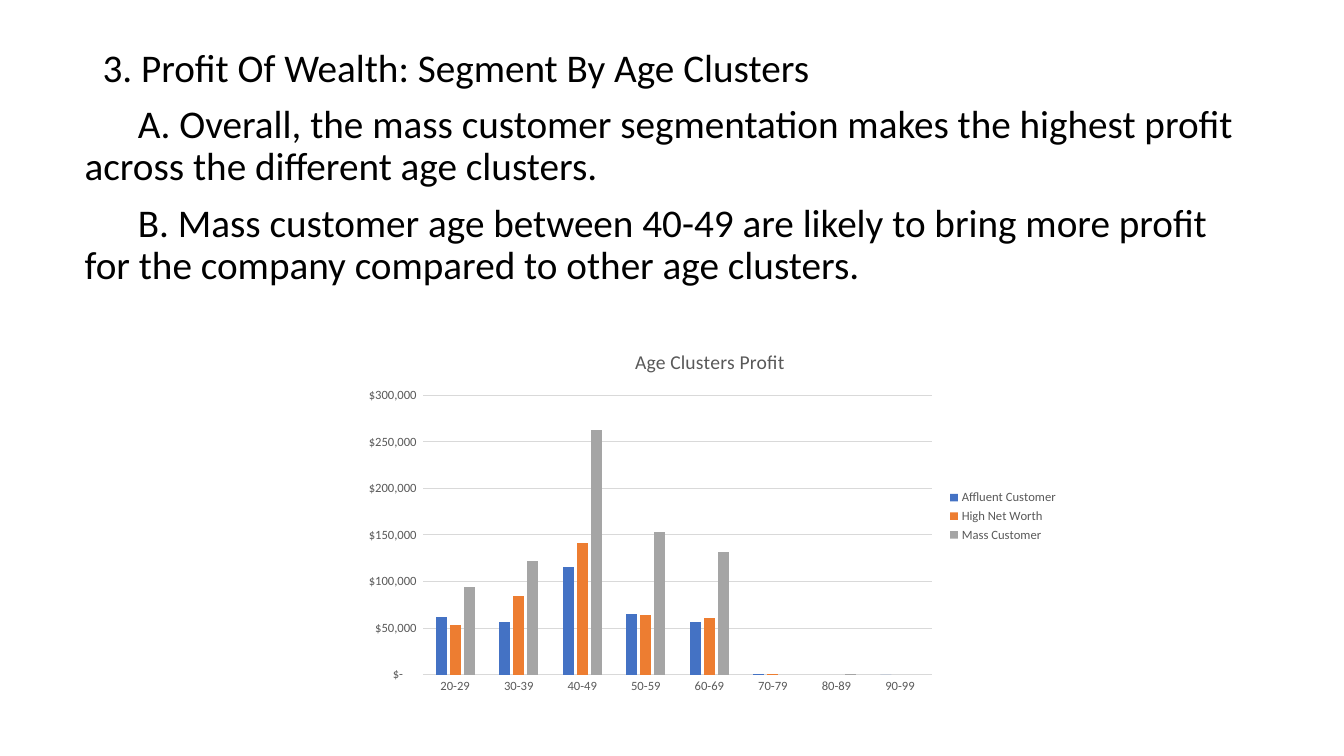
from pptx import Presentation
from pptx.chart.data import CategoryChartData
from pptx.dml.color import RGBColor
from pptx.enum.chart import XL_CHART_TYPE as ChartType, XL_LEGEND_POSITION as LegendPosition
from pptx.enum.chart import XL_TICK_MARK as TickMark
from pptx.enum.text import MSO_ANCHOR as Anchor, MSO_AUTO_SIZE as AutoSize
from pptx.oxml.xmlchemy import OxmlElement
from pptx.util import Cm, Pt

FONT = "Calibri"
BLACK = RGBColor(0x00, 0x00, 0x00)
GREY = RGBColor(0x59, 0x59, 0x59)
GRID = RGBColor(0xD9, 0xD9, 0xD9)
BLUE = RGBColor(0x44, 0x72, 0xC4)
ORANGE = RGBColor(0xED, 0x7D, 0x31)
SILVER = RGBColor(0xA5, 0xA5, 0xA5)

FINDINGS = [
    ("3. Profit Of Wealth: Segment By Age Clusters", Cm(0.45)),
    ("A. Overall, the mass customer segmentation makes the highest profit "
     "across the different age clusters.", Cm(1.34)),
    ("B. Mass customer age between 40-49 are likely to bring more profit "
     "for the company compared to other age clusters.", Cm(1.34)),
]
AGE_CLUSTERS = [f"{age}-{age + 9}" for age in range(20, 100, 10)]
SEGMENTS = [
    ("Affluent Customer", BLUE, [62000, 57000, 116000, 65000, 57000, 1000, None, 0]),
    ("High Net Worth", ORANGE, [53000, 84000, 141000, 64000, 61000, 1000, None, None]),
    ("Mass Customer", SILVER, [94000, 122000, 263000, 153000, 132000, None, 1000, None]),
]
DOLLARS = '_("$"* #,##0_);_("$"* \\(#,##0\\);_("$"* "-"??_);_(@_)'


def style_font(font, size, color):
    """Give a font its face, size and colour."""
    font.name, font.size, font.bold = FONT, Pt(size), False
    font.color.rgb = color


def write(paragraph, text, size=28, color=BLACK, indent=None):
    """Write one formatted run, with an unbulleted first-line indent if given."""
    run = paragraph.add_run()
    run.text = text
    style_font(run.font, size, color)
    if indent is not None:
        paragraph.line_spacing = 0.9
        paragraph.space_before = Pt(10)
        properties = paragraph._p.get_or_add_pPr()
        properties.set("marL", "0")
        properties.set("indent", str(indent))
        properties.append(OxmlElement("a:buNone"))


def add_findings(slide, left, top, width, height):
    """Fill the body placeholder with the heading and its two findings."""
    body = slide.placeholders[1]
    body.left, body.top, body.width, body.height = left, top, width, height
    frame = body.text_frame
    frame.auto_size = AutoSize.NONE
    frame.vertical_anchor = Anchor.TOP
    for number, (text, indent) in enumerate(FINDINGS):
        paragraph = frame.add_paragraph() if number else frame.paragraphs[0]
        write(paragraph, text, indent=indent)


def style_axes(chart):
    """Format the age and profit axes."""
    ages, profit = chart.category_axis, chart.value_axis
    for axis in (ages, profit):
        axis.major_tick_mark = axis.minor_tick_mark = TickMark.NONE
        style_font(axis.tick_labels.font, 9, GREY)
    profit.minimum_scale, profit.maximum_scale, profit.major_unit = 0, 300000, 50000
    profit.tick_labels.number_format = DOLLARS
    profit.tick_labels.number_format_is_linked = False
    profit.format.line.fill.background()
    for line in (ages.format.line, profit.major_gridlines.format.line):
        line.color.rgb = GRID
        line.width = Pt(0.75)


def add_profit_chart(slide, left, top, width, height):
    """Place the clustered columns of profit by age cluster and segment."""
    data = CategoryChartData()
    data.categories = AGE_CLUSTERS
    for name, _, values in SEGMENTS:
        data.add_series(name, values)
    chart = slide.shapes.add_chart(
        ChartType.COLUMN_CLUSTERED, left, top, width, height, data).chart
    style_font(chart.font, 10, BLACK)
    chart.has_title = True
    write(chart.chart_title.text_frame.paragraphs[0], "Age Clusters Profit",
          size=14, color=GREY)
    chart.chart_title.include_in_layout = False
    chart.has_legend = True
    chart.legend.position = LegendPosition.RIGHT
    chart.legend.include_in_layout = False
    style_font(chart.legend.font, 9, GREY)
    style_axes(chart)
    columns = chart.plots[0]
    columns.vary_by_categories = False
    columns.gap_width, columns.overlap = 219, -27
    for series, (_, color, _) in zip(columns.series, SEGMENTS):
        series.format.fill.solid()
        series.format.fill.fore_color.rgb = color


def build_profit_slide(deck):
    """Add the slide on profit by age cluster."""
    slide = deck.slides.add_slide(deck.slide_layouts[1])
    heading = slide.shapes.title.element
    heading.getparent().remove(heading)
    add_findings(slide, Cm(1.88), Cm(1.09), Cm(29.79), Cm(17.5))
    add_profit_chart(slide, Cm(8.86), Cm(8.36), Cm(18.06), Cm(9.3))


deck = Presentation()
deck.slide_width, deck.slide_height = Cm(33.87), Cm(19.05)
build_profit_slide(deck)
deck.save("out.pptx")
